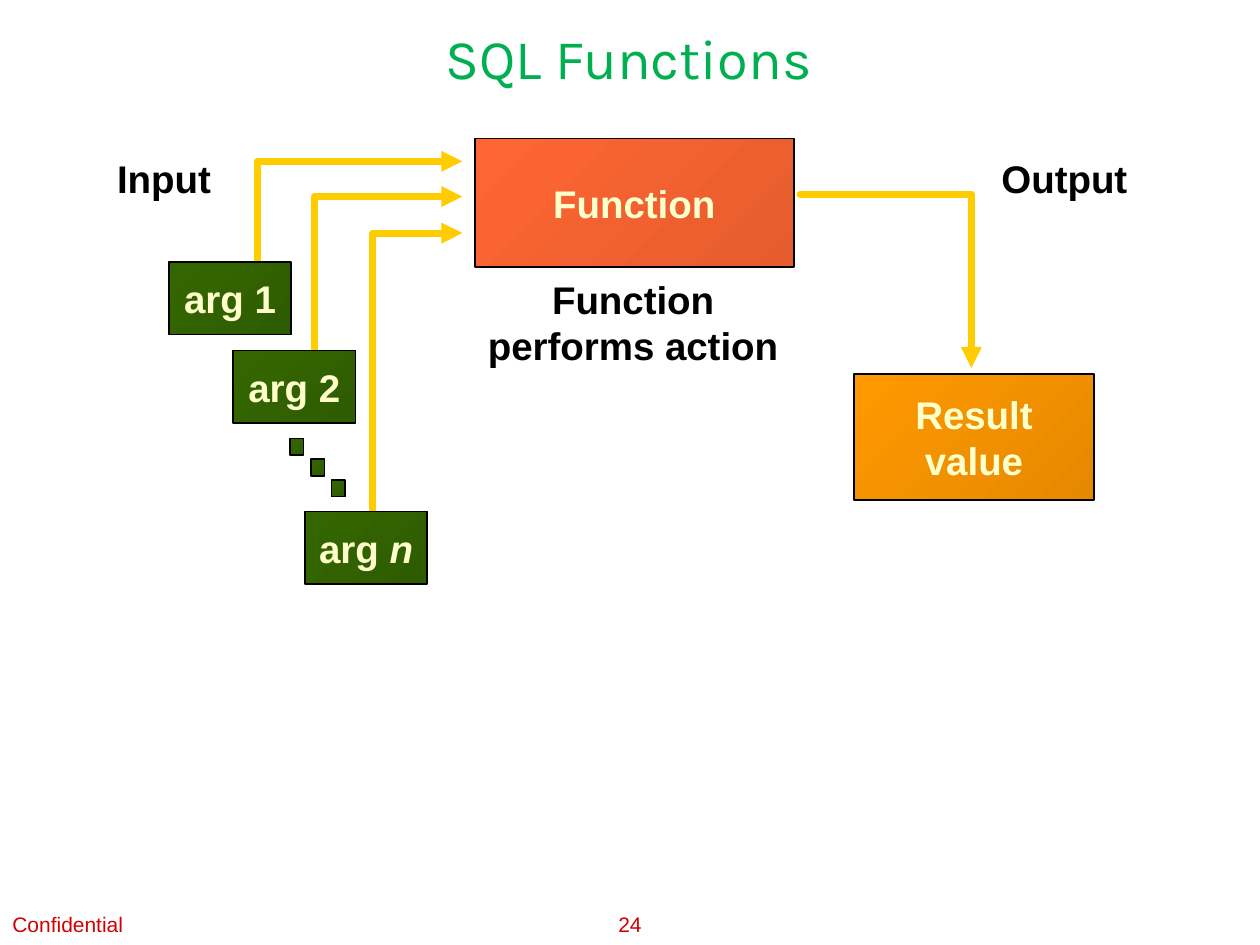
from dataclasses import dataclass
from typing import NamedTuple

from lxml import etree
from pptx import Presentation
from pptx.dml.color import RGBColor
from pptx.enum import shapes, text
from pptx.oxml import ns
from pptx.util import Pt


@dataclass(frozen=True)
class Theme:
    title_font: str = "Karla"
    body_font: str = "Arial"
    title_size: float = 32
    body_size: float = 22
    footer_size: float = 12
    title: str = "00B050"
    ink: str = "000000"
    pale: str = "FFFFCC"
    footer: str = "D20000"
    arrow: str = "FFCC00"
    red: tuple[str, str] = ("FF6633", "E55C2E")
    green: tuple[str, str] = ("336600", "2E5C00")
    orange: tuple[str, str] = ("FF9900", "E58900")
    outline: float = 1
    arrow_width: float = 4


THEME = Theme()
LEFT, CENTER = text.PP_ALIGN.LEFT, text.PP_ALIGN.CENTER
TOP, MIDDLE = text.MSO_ANCHOR.TOP, text.MSO_ANCHOR.MIDDLE


class Frame(NamedTuple):
    left: float
    top: float
    width: float
    height: float

    def lengths(self) -> list[Pt]:
        return [Pt(value) for value in self]


class Span(NamedTuple):
    words: str
    italic: bool = False


@dataclass(frozen=True)
class Style:
    color: str
    size: float = THEME.body_size
    font: str = THEME.body_font
    bold: bool = True
    align: text.PP_ALIGN = CENTER
    anchor: text.MSO_ANCHOR = MIDDLE
    wrap: bool = False
    grow: bool = False
    inset: tuple[float, float] = (7.2, 3.6)


@dataclass(frozen=True)
class Label:
    frame: Frame
    words: str
    style: Style


@dataclass(frozen=True)
class Block:
    """A gradient box; each inner tuple of spans is one paragraph."""
    frame: Frame
    colors: tuple[str, str]
    lines: tuple[tuple[Span, ...], ...] = ()
    inset: tuple[float, float] = (7.2, 3.6)


def write(frame, lines: tuple[tuple[Span, ...], ...], style: Style) -> None:
    frame.word_wrap = style.wrap
    frame.auto_size = (text.MSO_AUTO_SIZE.SHAPE_TO_FIT_TEXT if style.grow
                       else text.MSO_AUTO_SIZE.NONE)
    frame.vertical_anchor = style.anchor
    frame.margin_left = frame.margin_right = Pt(style.inset[0])
    frame.margin_top = frame.margin_bottom = Pt(style.inset[1])
    for index, spans in enumerate(lines):
        para = frame.add_paragraph() if index else frame.paragraphs[0]
        para.alignment = style.align
        for span in spans:
            run = para.add_run()
            run.text = span.words
            run.font.name = style.font
            run.font.size = Pt(style.size)
            run.font.bold = style.bold
            run.font.italic = span.italic
            run.font.color.rgb = RGBColor.from_string(style.color)


def draw_label(page, label: Label) -> None:
    box = page.shapes.add_textbox(*label.frame.lengths())
    write(box.text_frame, ((Span(label.words),),), label.style)


def draw_block(page, block: Block) -> None:
    box = page.shapes.add_shape(shapes.MSO_SHAPE.RECTANGLE, *block.frame.lengths())
    box.shadow.inherit = False
    box.fill.gradient()
    box.fill.gradient_angle = 315  # towards the lower right
    for stop, color in zip(box.fill.gradient_stops, block.colors):
        stop.color.rgb = RGBColor.from_string(color)
    box.line.color.rgb = RGBColor.from_string(THEME.ink)
    box.line.width = Pt(THEME.outline)
    if block.lines:
        write(box.text_frame, block.lines, Style(THEME.pale, inset=block.inset))


def draw_arrow(page, points: list[tuple[float, float]]) -> None:
    """Draw an open bent line with a triangle at its last point."""
    start, *rest = [(Pt(x), Pt(y)) for x, y in points]
    builder = page.shapes.build_freeform(*start)
    builder.add_line_segments(rest, close=False)
    arrow = builder.convert_to_shape()
    arrow.shadow.inherit = False
    arrow.fill.background()
    arrow.line.color.rgb = RGBColor.from_string(THEME.arrow)
    arrow.line.width = Pt(THEME.arrow_width)
    line = arrow.line._get_or_add_ln()
    line.set("cap", "rnd")
    etree.SubElement(line, ns.qn("a:round"))
    etree.SubElement(line, ns.qn("a:tailEnd"), type="triangle")


def main() -> None:
    deck = Presentation()
    deck.slide_width, deck.slide_height = Pt(720), Pt(540)
    page = deck.slides.add_slide(deck.slide_layouts[6])

    heading = Style(THEME.title, THEME.title_size, THEME.title_font, bold=False,
                    anchor=TOP, wrap=True)
    side = Style(THEME.ink, align=LEFT, anchor=TOP, grow=True)
    caption = Style(THEME.ink, anchor=TOP, wrap=True, grow=True)
    notice = Style(THEME.footer, THEME.footer_size, bold=False, align=LEFT, wrap=True)
    number = Style(THEME.footer, THEME.footer_size, bold=False, wrap=True)
    labels = [
        Label(Frame(67.7, 10.1, 583.2, 54), "SQL Functions", heading),
        Label(Frame(59.8, 85, 68.4, 33.8), "Input", side),
        Label(Frame(565.2, 85, 86.4, 33.8), "Output", side),
        Label(Frame(259.2, 154.1, 205.2, 59.8), "Function performs action", caption),
        Label(Frame(0, 516.2, 95.8, 23.8), "Confidential", notice),
        Label(Frame(306, 516.2, 108, 23.8), "24", number),
    ]

    arguments = [(96.5, 149.8, Span("1")), (133.2, 200.2, Span("2")),
                 (174.2, 292.3, Span("n", italic=True))]
    blocks = [
        Block(Frame(271.4, 79.2, 182.2, 73.4), THEME.red, ((Span("Function"),),)),
        Block(Frame(488.2, 213.8, 136.8, 72), THEME.orange,
              ((Span("Result"),), (Span("value"),))),
    ]
    blocks += [Block(Frame(left, top, 70, 41.4), THEME.green,
                     ((Span("arg "), mark),), (9.4, 5))
               for left, top, mark in arguments]
    blocks += [Block(Frame(165.6 + 11.9 * step, 250.6 + 11.9 * step, 7.9, 9.4),
                     THEME.green) for step in range(3)]

    input_tip = 264.2
    bends = [(146.9, 92.2, 162), (180, 112.3, 205.2), (213.1, 133.2, 296.6)]
    arrows = [[(x, bottom), (x, y), (input_tip, y)] for x, y, bottom in bends]
    arrows.append([(457.2, 110.9), (555.1, 110.9), (555.1, 210.2)])

    for points in arrows:
        draw_arrow(page, points)
    for block in blocks:
        draw_block(page, block)
    for label in labels:
        draw_label(page, label)
    deck.save("out.pptx")


if __name__ == "__main__":
    main()
